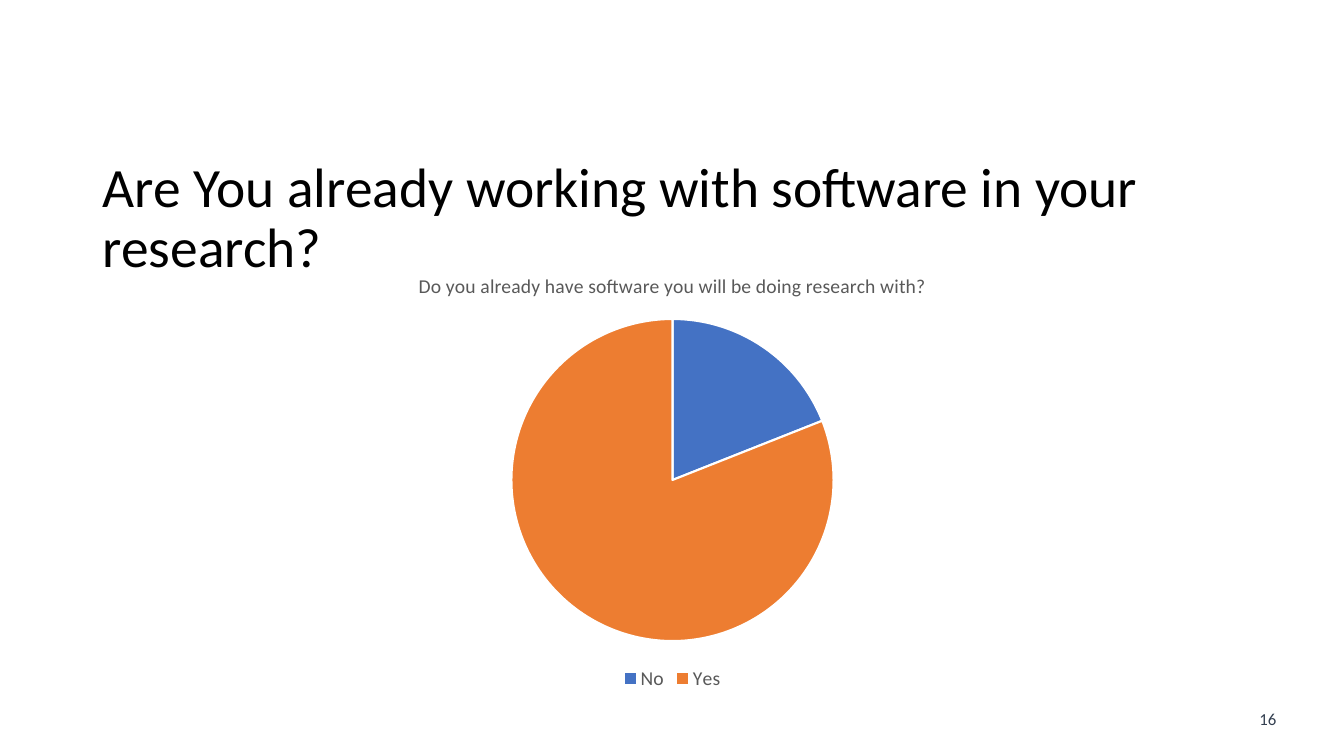
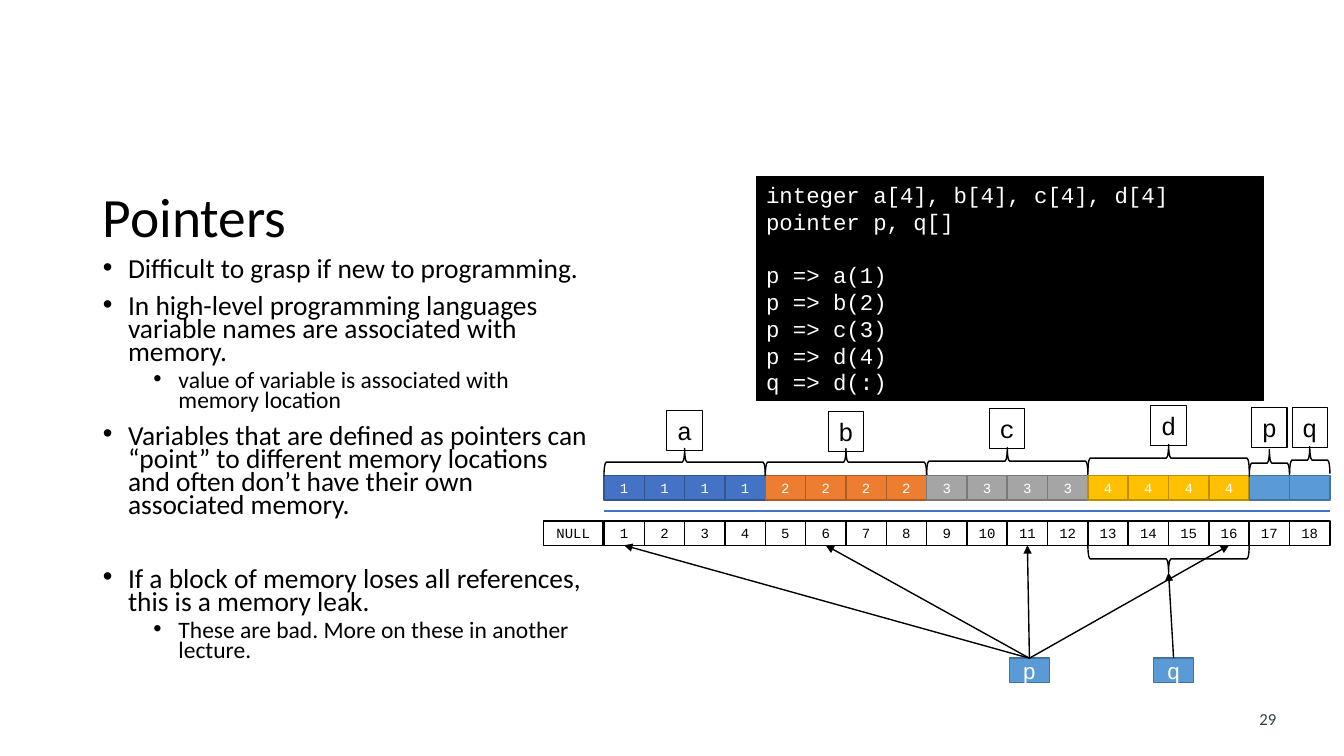
import lxml.etree
import pptx
import pptx.chart.data
import pptx.dml.color
import pptx.enum.chart
import pptx.enum.shapes
import pptx.enum.text
import pptx.oxml.ns
import pptx.util

Inches = pptx.util.Inches
Pt = pptx.util.Pt
qn = pptx.oxml.ns.qn
ALIGN = pptx.enum.text.PP_ALIGN
ANCHOR = pptx.enum.text.MSO_ANCHOR
SHAPE = pptx.enum.shapes.MSO_SHAPE

COLORS = {
    "black": "000000", "white": "FFFFFF", "number": "333F50", "chart_text": "595959",
    "blue": "4472C4", "blue_edge": "325491", "orange": "ED7D31", "orange_edge": "AF5C24",
    "gray": "A5A5A5", "gray_edge": "7A7A7A", "gold": "FFC000", "gold_edge": "BD8E00",
    "sky": "5B9BD5", "sky_edge": "43739E",
}
SANS = "Calibri"
MONO = "Courier New"


def rgb(name):
    return pptx.dml.color.RGBColor.from_string(COLORS[name])


def style_font(font, size, color, family=SANS):
    font.size, font.name, font.bold = Pt(size), family, False
    font.color.rgb = rgb(color)


def write(frame, text, size=18, color="black", family=SANS, align=ALIGN.LEFT,
          spacing=None, before=0, level=0, indent=None, first=True):
    para = frame.paragraphs[0] if first else frame.add_paragraph()
    para.alignment, para.level = align, level
    para.space_before = Pt(before)
    if spacing:
        para.line_spacing = spacing
    if indent is not None:
        properties = para._p.get_or_add_pPr()
        properties.set("marL", str(Inches(indent)))
        properties.set("indent", str(Inches(-0.25)))
        bullet = lxml.etree.SubElement(properties, qn("a:buChar"))
        bullet.set("char", "•")
    span = para.add_run()
    span.text = text
    style_font(span.font, size, color, family)


class SlideBuilder:
    def __init__(self):
        self.deck = pptx.Presentation()
        self.deck.slide_width, self.deck.slide_height = Inches(13.33), Inches(7.5)
        self.page = None

    def new_page(self, title, number, layout):
        self.page = self.deck.slides.add_slide(self.deck.slide_layouts[layout])
        frame = self.place(self.page.shapes.title, 0.92, 1.83, 11.5, 0.7)
        frame.vertical_anchor = ANCHOR.MIDDLE
        write(frame, title, size=39.6, spacing=0.9)
        box = self.page.shapes.add_textbox(*map(Inches, (12.34, 6.98, 0.47, 0.3)))
        write(box.text_frame, str(number), size=12, color="number", align=ALIGN.CENTER)

    def place(self, holder, left, top, width, height):
        holder.left, holder.top = Inches(left), Inches(top)
        holder.width, holder.height = Inches(width), Inches(height)
        holder.text_frame.auto_size = pptx.enum.text.MSO_AUTO_SIZE.NONE
        return holder.text_frame

    def bullets(self, items):
        frame = self.place(self.page.placeholders[1], 0.92, 2.53, 5.06, 4.36)
        frame.vertical_anchor = ANCHOR.TOP
        for index, (level, before, text) in enumerate(items):
            write(frame, text, size=16.8 if level else 19.6, spacing=0.7, before=before,
                  level=level, indent=0.25 + 0.5 * level, first=index == 0)

    def shape(self, kind, left, top, width, height, fill=None, line="black", weight=1):
        item = self.page.shapes.add_shape(kind, *map(Inches, (left, top, width, height)))
        item.shadow.inherit = False
        if fill:
            item.fill.solid()
            item.fill.fore_color.rgb = rgb(fill)
        else:
            item.fill.background()
        item.line.color.rgb = rgb(line)
        item.line.width = Pt(weight)
        return item

    def cell(self, text, left, top, width=0.4, height=0.24, size=10,
             fill="white", line="black", color="black", weight=1):
        box = self.shape(SHAPE.RECTANGLE, left, top, width, height, fill, line, weight)
        box.text_frame.vertical_anchor = ANCHOR.MIDDLE
        if text:
            write(box.text_frame, text, size=size, color=color, family=MONO, align=ALIGN.CENTER)
        return box

    def label(self, text, center, top):
        box = self.cell(text, center - 0.175, top, 0.35, 0.4, 18, fill=None, weight=0.75)
        box.text_frame.word_wrap = False

    def brace(self, center, top, width, height=0.27, rotation=90):
        item = self.shape(SHAPE.LEFT_BRACE, center - height / 2, top + (height - width) / 2,
                          height, width)
        item.rotation = rotation

    def code(self, lines, left, top, width, height):
        box = self.shape(SHAPE.RECTANGLE, left, top, width, height, "black", "black", 0.75)
        box.text_frame.vertical_anchor = ANCHOR.TOP
        for index, (text, before) in enumerate(lines):
            write(box.text_frame, text, size=16, color="white", family=MONO,
                  spacing=Pt(19.1), before=before, first=index == 0)

    def line(self, start, end, color="black", arrow=False, source=None, target=None):
        item = self.page.shapes.add_connector(
            pptx.enum.shapes.MSO_CONNECTOR.STRAIGHT, *map(Inches, (*start, *end)))
        if source:
            item.begin_connect(source, 0)
        if target:
            item.end_connect(target, 2)
        item.line.color.rgb = rgb(color)
        item.line.width = Pt(1)
        if arrow:
            head = lxml.etree.SubElement(item.line._get_or_add_ln(), qn("a:tailEnd"))
            head.set("type", "triangle")
        lxml.etree.SubElement(item._element.spPr, qn("a:effectLst"))

    def pie(self, title, slices, left, top, width, height):
        data = pptx.chart.data.CategoryChartData()
        data.categories = [name for name, value, color in slices]
        data.add_series(title, [value for name, value, color in slices])
        chart = self.page.shapes.add_chart(
            pptx.enum.chart.XL_CHART_TYPE.PIE,
            *map(Inches, (left, top, width, height)), data).chart
        style_font(chart.font, 10, "black")
        chart.has_title = True
        chart.chart_title.include_in_layout = False
        write(chart.chart_title.text_frame, title, size=14, color="chart_text",
              align=ALIGN.CENTER)
        chart.has_legend = True
        chart.legend.position = pptx.enum.chart.XL_LEGEND_POSITION.BOTTOM
        chart.legend.include_in_layout = False
        style_font(chart.legend.font, 14, "chart_text")
        plot = chart.plots[0]
        plot.vary_by_categories = True
        for index, (name, value, color) in enumerate(slices):
            part = plot.series[0].points[index].format
            part.fill.solid()
            part.fill.fore_color.rgb = rgb(color)
            part.line.color.rgb = rgb("white")
            part.line.width = Pt(1.5)


def build_survey(builder):
    builder.new_page("Are You already working with software in your research?", 16, layout=5)
    builder.pie("Do you already have software you will be doing research with?",
                [("No", 19, "blue"), ("Yes", 81, "orange")], 0.92, 2.53, 11.5, 4.36)


def build_pointers(builder):
    builder.new_page("Pointers", 29, layout=1)
    builder.code([
        ("integer a[4], b[4], c[4], d[4]", 0),
        ("pointer p, q[]", 0),
        ("p => a(1)", 19.1),
        ("p => b(2)", 0),
        ("p => c(3)", 0),
        ("p => d(4)", 0),
        ("q => d(:)", 0),
    ], 7.5, 1.75, 5.03, 2.22)
    builder.bullets([
        (0, 10, "Difficult to grasp if new to programming."),
        (0, 10, "In high-level programming languages variable names are associated with memory."),
        (1, 5, "value of variable is associated with memory location"),
        (0, 10, "Variables that are defined as pointers can “point” to different memory "
                "locations and often don’t have their own associated memory."),
        (0, 36.5, "If a block of memory loses all references, this is a memory leak."),
        (1, 5, "These are bad. More on these in another lecture."),
    ])

    memory_left, pitch = 5.99, 0.4
    value_top, address_top, address_bottom = 4.72, 5.17, 5.41
    variables = [
        ("a", "1", 4, "blue", 4.07, 4.45),
        ("b", "2", 4, "orange", 4.08, 4.45),
        ("c", "3", 4, "gray", 4.05, 4.44),
        ("d", "4", 4, "gold", 4.02, 4.41),
        ("p", "", 1, "sky", 4.04, 4.46),
        ("q", "", 1, "sky", 4.04, 4.43),
    ]
    left = memory_left
    for name, value, count, color, label_top, brace_top in variables:
        width = count * pitch
        for index in range(count):
            builder.cell(value, left + index * pitch, value_top,
                         fill=color, line=color + "_edge", color="white")
        builder.brace(left + width / 2, brace_top, width)
        builder.label(name, left + width / 2, label_top)
        left += width
    builder.line((memory_left, 5.07), (left, 5.07), color="blue")

    builder.cell("NULL", 5.39, address_top, width=0.59)
    addresses = {number: builder.cell(str(number), memory_left + (number - 1) * pitch, address_top)
                 for number in range(1, 19)}
    array_center = memory_left + 14 * pitch
    builder.brace(array_center, address_bottom, 4 * pitch, rotation=270)

    pointers = {name: builder.cell(name, pointer_left, 6.53, size=16, fill="sky",
                                   line="sky_edge", color="white")
                for name, pointer_left in (("p", 10.01), ("q", 11.44))}
    for number in (1, 6, 11, 16):
        builder.line((10.21, 6.53), (memory_left + (number - 0.5) * pitch, address_bottom),
                     arrow=True, source=pointers["p"], target=addresses[number])
    builder.line((11.64, 6.53), (array_center, 5.68), arrow=True, source=pointers["q"])


def main():
    builder = SlideBuilder()
    build_survey(builder)
    build_pointers(builder)
    builder.deck.save("out.pptx")


if __name__ == "__main__":
    main()
